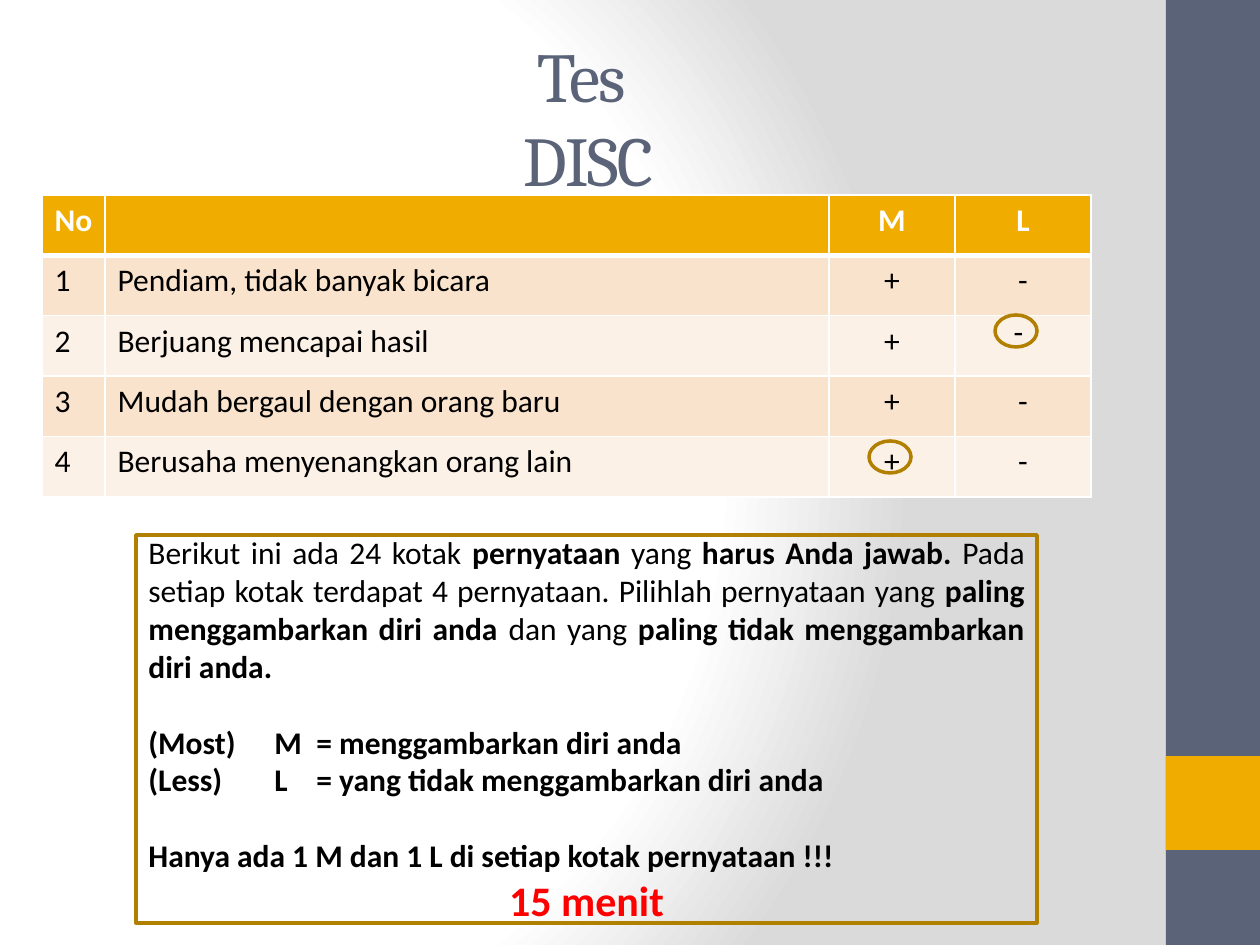
from dataclasses import dataclass, field
from typing import Any

from pptx import Presentation, oxml, util as u
from pptx.dml import color
from pptx.enum import shapes, text
from pptx.oxml import ns

EMU_PER_PX = 914400 / 126
LEFT, CENTER, JUSTIFY = text.PP_ALIGN.LEFT, text.PP_ALIGN.CENTER, text.PP_ALIGN.JUSTIFY
RECT = shapes.MSO_SHAPE.RECTANGLE
RING = shapes.MSO_SHAPE.FLOWCHART_CONNECTOR


@dataclass(frozen=True)
class Theme:
    slate: str = "5A6378"
    amber: str = "F0AD00"
    outline: str = "B28000"
    white: str = "FFFFFF"
    black: str = "000000"
    red: str = "FF0000"
    shade: str = "DADADA"
    bands: tuple[str, str] = ("F9E3CC", "FCF1E7")
    heading: str = "Cambria"
    body: str = "Calibri"
    title_size: int = 40
    body_size: int = 18
    timer_size: int = 24


THEME = Theme()


@dataclass(frozen=True)
class Span:
    text: str
    bold: bool = False
    color: str = THEME.black
    size: int = THEME.body_size
    font: str = THEME.body
    tracking: int = 0


@dataclass(frozen=True)
class Para:
    spans: list[Span]
    align: Any = CENTER
    before: int = 0
    tabs: tuple[int, ...] = ()


@dataclass(frozen=True)
class Block:
    kind: Any
    x: int
    y: int
    w: int
    h: int
    fill: str | None = None
    line: str | None = None
    paras: list[Para] = field(default_factory=list)


def px(n: int) -> u.Emu:
    return u.Emu(round(n * EMU_PER_PX))


def rgb(value: str) -> color.RGBColor:
    return color.RGBColor.from_string(value)


def apply(target: Any, formats: dict[str, Any]) -> None:
    for name, value in formats.items():
        setattr(target, name, value)


def write(tf: Any, paras: list[Para]) -> None:
    for i, para in enumerate(paras):
        p = tf.add_paragraph() if i else tf.paragraphs[0]
        apply(p, {"alignment": para.align, "space_before": px(para.before)})
        if para.tabs:
            tabs = oxml.parse_xml(f"<a:tabLst {ns.nsdecls('a')}/>")
            for stop in para.tabs:
                tabs.append(oxml.parse_xml(
                    f'<a:tab {ns.nsdecls("a")} pos="{px(stop)}" algn="l"/>'))
            p._p.get_or_add_pPr().append(tabs)
        for span in para.spans:
            if span.text == "\n":
                p.add_line_break()
                continue
            r = p.add_run()
            r.text = span.text
            apply(r.font, {"name": span.font, "size": u.Pt(span.size), "bold": span.bold})
            r.font.color.rgb = rgb(span.color)
            if span.tracking:
                r._r.get_or_add_rPr().set("spc", str(span.tracking))


def draw_block(s: Any, block: Block) -> None:
    sp = s.shapes.add_shape(block.kind, *map(px, (block.x, block.y, block.w, block.h)))
    sp.shadow.inherit = False
    if block.fill:
        sp.fill.solid()
        sp.fill.fore_color.rgb = rgb(block.fill)
    else:
        sp.fill.background()
    if block.line:
        sp.line.color.rgb = rgb(block.line)
        sp.line.width = u.Pt(2)
    else:
        sp.line.fill.background()
    apply(sp.text_frame, {"word_wrap": True, "vertical_anchor": text.MSO_ANCHOR.MIDDLE})
    write(sp.text_frame, block.paras)


def draw_background(s: Any) -> None:
    s.background.fill.solid()
    stops = "".join(
        f'<a:gs pos="{pos * 1000}"><a:srgbClr val="{value}"/></a:gs>'
        for pos, value in ((0, THEME.white), (75, THEME.white), (100, THEME.shade)))
    grad = oxml.parse_xml(
        f'<a:gradFill {ns.nsdecls("a")} rotWithShape="1"><a:gsLst>{stops}</a:gsLst>'
        '<a:path path="circle"><a:fillToRect l="20000" t="50000" r="100000" b="50000"/>'
        '</a:path></a:gradFill>')
    solid = s._element.find(".//" + ns.qn("p:bgPr")).find(ns.qn("a:solidFill"))
    solid.getparent().replace(solid, grad)


def draw_title(s: Any) -> None:
    tf = s.shapes.add_textbox(px(63), px(38), px(1050), px(157)).text_frame
    apply(tf, {"word_wrap": True, "vertical_anchor": text.MSO_ANCHOR.MIDDLE})
    look = {"color": THEME.slate, "size": THEME.title_size,
            "font": THEME.heading, "tracking": -100}
    write(tf, [Para([Span("Tes ", **look), Span("\n"), Span("DISC", **look)])])


def style_cell(cell: Any, fill: str, top: int, bottom: int) -> None:
    tcPr = cell._tc.get_or_add_tcPr()
    for side, width in {"L": 1, "R": 1, "T": top, "B": bottom}.items():
        tcPr.append(oxml.parse_xml(
            f'<a:ln{side} {ns.nsdecls("a")} w="{u.Pt(width)}"><a:solidFill>'
            f'<a:srgbClr val="{THEME.white}"/></a:solidFill></a:ln{side}>'))
    cell.fill.solid()
    cell.fill.fore_color.rgb = rgb(fill)


def draw_table(s: Any, rows: list[tuple[str, ...]]) -> None:
    widths = (63, 724, 126, 136)
    height = px(302)
    table = s.shapes.add_table(
        len(rows), len(widths), px(42), px(195), px(sum(widths)), height).table
    for column, width in zip(table.columns, widths):
        column.width = px(width)
    for i, values in enumerate(rows):
        table.rows[i].height = u.Emu(height // len(rows))
        header = i == 0
        fill = THEME.amber if header else THEME.bands[(i - 1) % 2]
        ink = THEME.white if header else THEME.black
        for j, value in enumerate(values):
            cell = table.cell(i, j)
            style_cell(cell, fill, 3 if i == 1 else 1, 3 if header else 1)
            if value:
                write(cell.text_frame,
                      [Para([Span(value, header, ink)], CENTER if j > 1 else LEFT)])


ROWS = [
    ("No", "", "M", "L"),
    ("1", "Pendiam, tidak banyak bicara", "+", "-"),
    ("2", "Berjuang mencapai hasil", "+", ""),
    ("3", "Mudah bergaul dengan orang baru", "+", "-"),
    ("4", "Berusaha menyenangkan orang lain", "+", "-"),
]

INTRO = [
    Span("Berikut ini ada 24 kotak "), Span("pernyataan ", True),
    Span("yang "), Span("harus Anda jawab. ", True),
    Span("Pada setiap kotak terdapat 4 pernyataan. Pilihlah pernyataan yang "),
    Span("paling menggambarkan diri anda ", True), Span("dan yang "),
    Span("paling tidak menggambarkan diri anda.", True),
]

KEY_TABS = (126, 168)
INSTRUCTIONS = [
    Para(INTRO, JUSTIFY),
    Para([Span("(Most)\tM\t= menggambarkan diri anda", True)], JUSTIFY, 38, KEY_TABS),
    Para([Span("(Less)\tL\t= yang tidak menggambarkan diri anda", True)],
         JUSTIFY, 0, KEY_TABS),
    Para([Span("Hanya ada 1 M dan 1 L di setiap kotak pernyataan !!!", True)], JUSTIFY, 38),
    Para([Span("15 menit", True, THEME.red, THEME.timer_size)]),
]

SIDEBAR = [
    Block(RECT, 1166, 0, 94, 945, fill=THEME.slate),
    Block(RECT, 1166, 756, 94, 94, fill=THEME.amber),
]

ANSWERS = [
    Block(RING, 869, 441, 42, 32, line=THEME.outline),
    Block(RING, 995, 315, 42, 32, line=THEME.outline, paras=[Para([Span("-")])]),
    Block(RECT, 136, 535, 901, 388, line=THEME.outline, paras=INSTRUCTIONS),
]


def main() -> None:
    prs = Presentation()
    apply(prs, {"slide_width": px(1260), "slide_height": px(945)})
    s = prs.slides.add_slide(prs.slide_layouts[6])
    draw_background(s)
    for block in SIDEBAR:
        draw_block(s, block)
    draw_title(s)
    draw_table(s, ROWS)
    for block in ANSWERS:
        draw_block(s, block)
    prs.save("out.pptx")


if __name__ == "__main__":
    main()
